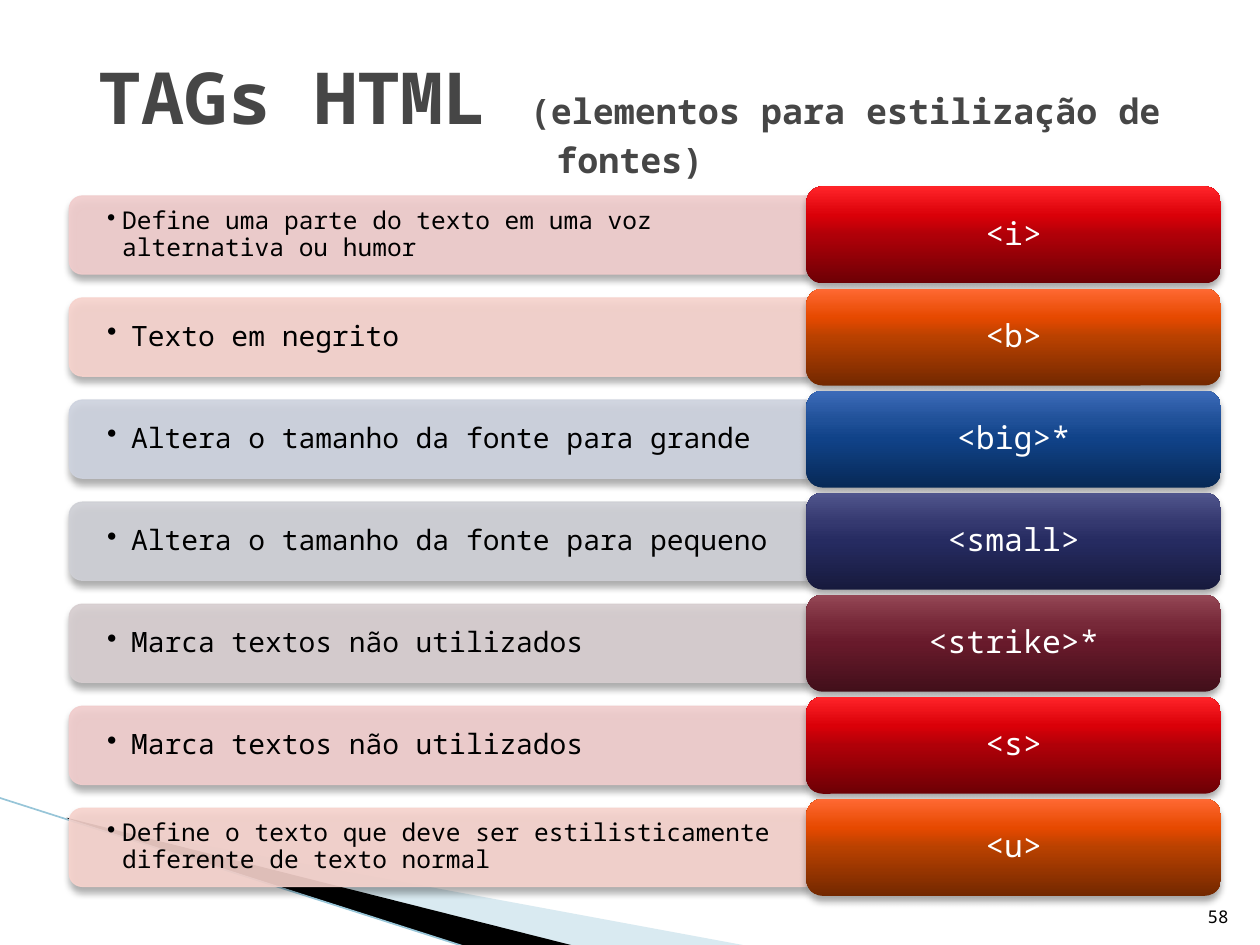
from lxml.etree import SubElement
from pptx import Presentation
from pptx.dml.color import RGBColor
from pptx.enum.shapes import MSO_CONNECTOR, MSO_SHAPE
from pptx.enum.text import MSO_ANCHOR, MSO_AUTO_SIZE, PP_ALIGN
from pptx.oxml import parse_xml
from pptx.oxml.ns import nsdecls, qn
from pptx.util import Inches, Pt

COLORS = {
    "title": "464646", "text": "000000", "tag": "FFFFFF", "background": "FFFFFF",
    "wave": "A0CBDC", "band": "000000", "edge": "97C5D8", "shadow": "000000",
}
GRADIENT_POSITIONS = (0, 50, 70, 100)
# Bar colour, then the button gradient from bottom to top.
THEMES = {
    "red": ("F1CDCD", ("6D0005", "B00008", "DA0008", "FF2429")),
    "orange": ("F7D3CD", ("732800", "B94100", "E64900", "FF6933")),
    "blue": ("CED3DF", ("072956", "104288", "205199", "3D6BB9")),
    "indigo": ("CFD0D6", ("171A3D", "262B61", "353970", "51568D")),
    "wine": ("D7CED0", ("420F1A", "681A2B", "772939", "944755")),
}
ROWS = [
    ("Define uma parte do texto em uma voz alternativa ou humor", "<i>", "red", 14),
    ("Texto em negrito", "<b>", "orange", 16),
    ("Altera o tamanho da fonte para grande", "<big>*", "blue", 16),
    ("Altera o tamanho da fonte para pequeno", "<small>", "indigo", 16),
    ("Marca textos não utilizados", "<strike>*", "wine", 16),
    ("Marca textos não utilizados", "<s>", "red", 16),
    ("Define o texto que deve ser estilisticamente diferente de texto normal",
     "<u>", "orange", 14),
]
FIRST_TOP, ROW_PITCH = 1.48, 0.81
BAR_LEFT, BAR_WIDTH, BAR_HEIGHT = 0.55, 5.85, 0.62
BUTTON_LEFT, BUTTON_WIDTH, BUTTON_HEIGHT = 6.4, 3.29, 0.77


def add_text(paragraph, text, *, size, color, font, bold=False):
    span = paragraph.add_run()
    span.text = text
    span.font.name = font
    span.font.size = Pt(size)
    span.font.bold = bold
    span.font.color.rgb = RGBColor.from_string(color)


def set_frame(frame, anchor, horizontal=0.1, vertical=0.05):
    frame.word_wrap = True
    frame.auto_size = MSO_AUTO_SIZE.NONE
    frame.vertical_anchor = anchor
    frame.margin_left = frame.margin_right = Inches(horizontal)
    frame.margin_top = frame.margin_bottom = Inches(vertical)


def set_alpha(shape, percent):
    """Give every solid colour of the shape, fill and line, this opacity."""
    for color in list(shape.element.spPr.iter(qn("a:srgbClr"))):
        SubElement(color, qn("a:alpha"), val=str(percent * 1000))


def add_shadow(shape):
    shape.shadow.inherit = False
    effects = shape.element.spPr.find(qn("a:effectLst"))
    effects.append(parse_xml(
        f'<a:outerShdw {nsdecls("a")} blurRad="{Pt(4)}" dist="{Pt(3)}" dir="5400000" '
        f'rotWithShape="0"><a:srgbClr val="{COLORS["shadow"]}"><a:alpha val="35000"/>'
        "</a:srgbClr></a:outerShdw>"))


def set_gradient(shape, colors):
    shape.fill.gradient()
    shape.fill.gradient_angle = 90
    stops = shape.element.spPr.find(qn("a:gradFill")).find(qn("a:gsLst"))
    stops.clear()
    for position, color in zip(GRADIENT_POSITIONS, colors):
        stop = SubElement(stops, qn("a:gs"), pos=str(position * 1000))
        SubElement(stop, qn("a:srgbClr"), val=color)


def set_bullet(paragraph, indent):
    properties = paragraph._p.get_or_add_pPr()
    properties.set("marL", str(Inches(indent)))
    properties.set("indent", str(-Inches(indent)))
    SubElement(properties, qn("a:buChar"), char="•")


class SlideBuilder:
    """Holds the font and the current slide."""

    def __init__(self, slide, font):
        self.slide = slide
        self.shapes = slide.shapes
        self.font = font

    def background(self, color):
        fill = self.slide.background.fill
        fill.solid()
        fill.fore_color.rgb = RGBColor.from_string(color)

    def polygon(self, points, color, opacity=100):
        builder = self.shapes.build_freeform(
            *(Inches(value) for value in points[0]), scale=1.0)
        builder.add_line_segments(
            [(Inches(x), Inches(y)) for x, y in points[1:]], close=True)
        shape = builder.convert_to_shape()
        shape.shadow.inherit = False
        shape.fill.solid()
        shape.fill.fore_color.rgb = RGBColor.from_string(color)
        shape.line.fill.background()
        if opacity < 100:
            set_alpha(shape, opacity)

    def line(self, start, end, color, width):
        connector = self.shapes.add_connector(
            MSO_CONNECTOR.STRAIGHT, *(Inches(value) for value in (*start, *end)))
        connector.line.color.rgb = RGBColor.from_string(color)
        connector.line.width = Pt(width)
        SubElement(connector.element.spPr, qn("a:effectLst"))

    def title(self, main, detail):
        title = self.shapes.title
        title.left, title.top = Inches(0.5), Inches(0.3)
        title.width, title.height = Inches(9), Inches(1.25)
        set_frame(title.text_frame, MSO_ANCHOR.MIDDLE)
        para = title.text_frame.paragraphs[0]
        para.alignment = PP_ALIGN.CENTER
        for text, size in ((main, 41), (detail, 20)):
            add_text(para, text, size=size, color=COLORS["title"],
                     font=self.font, bold=True)

    def text_box(self, left, top, width, height):
        return self.shapes.add_textbox(
            Inches(left), Inches(top), Inches(width), Inches(height)).text_frame

    def bar(self, center, color):
        """Draw a bar rounded at its left end: an upright shape turned by 270 degrees."""
        left = BAR_LEFT + (BAR_WIDTH - BAR_HEIGHT) / 2
        bar = self.shapes.add_shape(
            MSO_SHAPE.ROUND_2_SAME_RECTANGLE, Inches(left),
            Inches(center - BAR_WIDTH / 2), Inches(BAR_HEIGHT), Inches(BAR_WIDTH))
        bar.rotation = 270
        bar.fill.solid()
        bar.fill.fore_color.rgb = RGBColor.from_string(color)
        bar.line.color.rgb = RGBColor.from_string(color)
        bar.line.width = Pt(0.75)
        set_alpha(bar, 90)
        add_shadow(bar)

    def description(self, center, text, size):
        height = 0.56
        frame = self.text_box(0.58, center - height / 2, 5.82, height)
        set_frame(frame, MSO_ANCHOR.MIDDLE, 0.27, 0.14)
        para = frame.paragraphs[0]
        set_bullet(para, 0.12 if size == 14 else 0.19)
        para.level = 1
        para.line_spacing = 0.9
        add_text(para, text, size=size, color=COLORS["text"], font=self.font)

    def button(self, top, text, colors):
        button = self.shapes.add_shape(
            MSO_SHAPE.ROUNDED_RECTANGLE, Inches(BUTTON_LEFT), Inches(top),
            Inches(BUTTON_WIDTH), Inches(BUTTON_HEIGHT))
        set_gradient(button, colors)
        button.line.fill.background()
        add_shadow(button)
        set_frame(button.text_frame, MSO_ANCHOR.MIDDLE, 0.07, 0.04)
        para = button.text_frame.paragraphs[0]
        para.alignment = PP_ALIGN.CENTER
        para.line_spacing = 0.9
        add_text(para, text, size=18, color=COLORS["tag"], font=self.font)

    def page_number(self, number):
        frame = self.text_box(9.25, 7.01, 0.6, 0.4)
        set_frame(frame, MSO_ANCHOR.BOTTOM)
        para = frame.paragraphs[0]
        para.alignment = PP_ALIGN.RIGHT
        add_text(para, number, size=10, color=COLORS["text"], font=self.font)


def main():
    deck = Presentation()
    deck.slide_width, deck.slide_height = Inches(10), Inches(7.5)
    page = SlideBuilder(deck.slides.add_slide(deck.slide_layouts[5]), "Noto Sans Mono")
    page.background(COLORS["background"])
    page.polygon([(0.55, 6.51), (5.95, 7.51), (4.56, 7.51), (0.55, 6.5)],
                 COLORS["wave"], opacity=40)
    page.polygon([(0.53, 6.49), (4.57, 7.51), (3.72, 7.52), (0.54, 6.5)], COLORS["band"])
    page.line((-0.01, 6.33), (3.71, 7.52), COLORS["edge"], 0.95)
    page.title("TAGs HTML ", "(elementos para estilização de fontes)")
    for index, (description, tag, theme, size) in enumerate(ROWS):
        top = FIRST_TOP + index * ROW_PITCH
        center = top + BUTTON_HEIGHT / 2
        bar_color, button_colors = THEMES[theme]
        page.bar(center, bar_color)
        page.description(center, description, size)
        page.button(top, tag, button_colors)
    page.page_number("58")
    deck.save("out.pptx")


if __name__ == "__main__":
    main()
